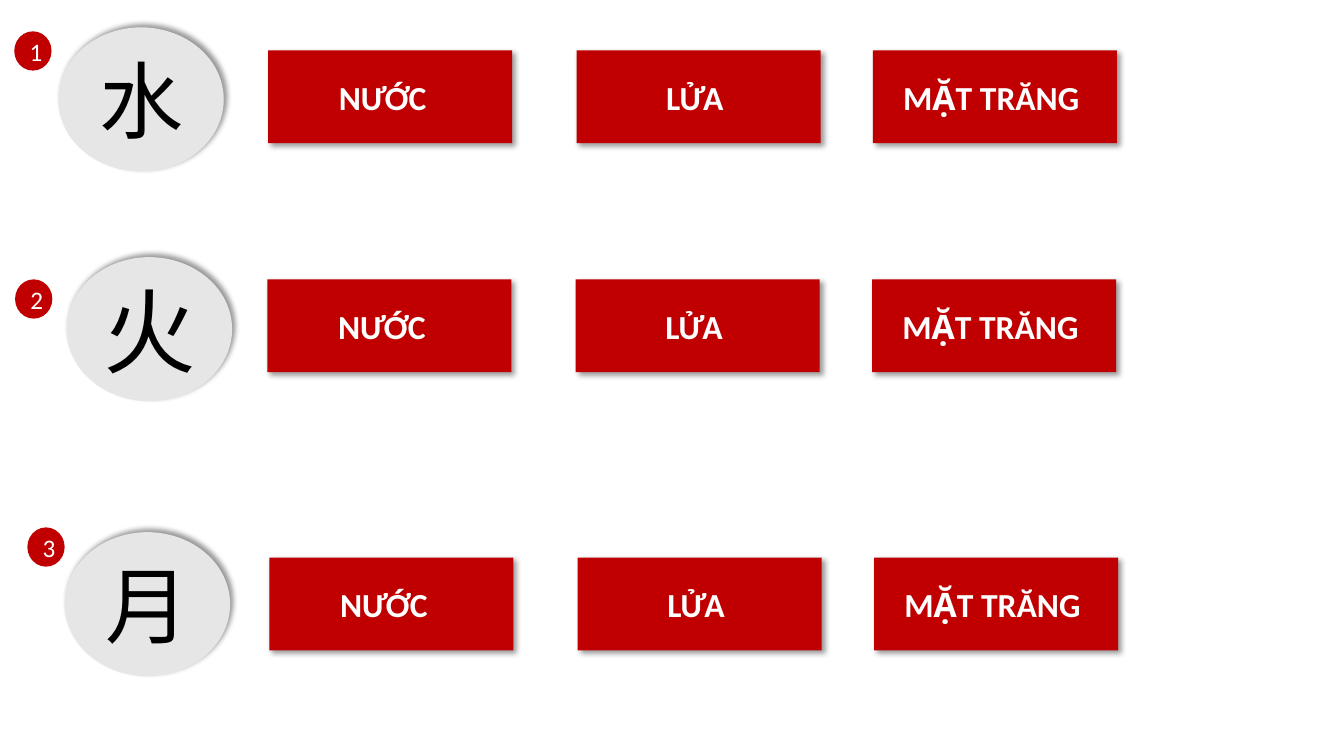
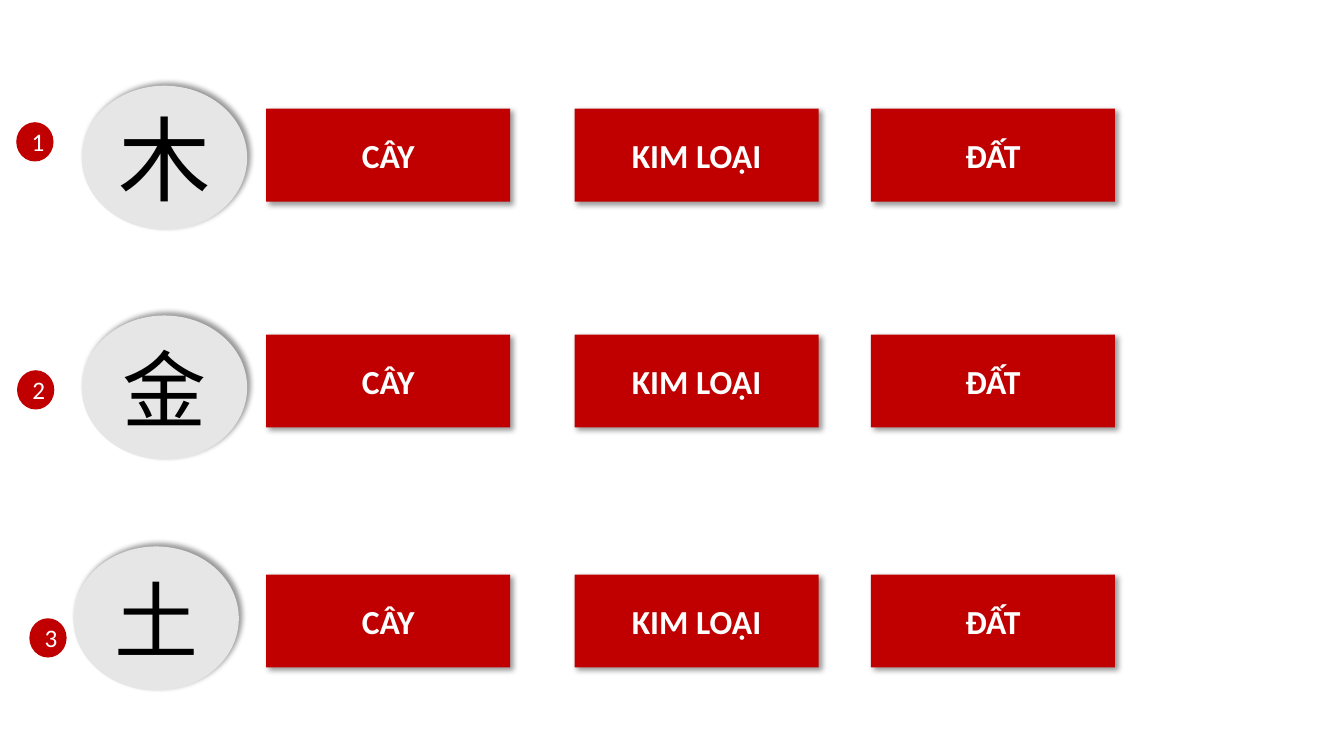
import pptx
import pptx.util
import pptx.dml.color
import pptx.enum.shapes
import pptx.enum.text
import pptx.oxml.ns
import lxml.etree

Cm = pptx.util.Cm
Pt = pptx.util.Pt
Shape = pptx.enum.shapes.MSO_SHAPE
qn = pptx.oxml.ns.qn

RED = pptx.dml.color.RGBColor(0xC0, 0x00, 0x00)
GREY = pptx.dml.color.RGBColor(0xE7, 0xE6, 0xE6)
WHITE = pptx.dml.color.RGBColor(0xFF, 0xFF, 0xFF)
BLACK = pptx.dml.color.RGBColor(0x00, 0x00, 0x00)

# Preset shape, width and height in cm, fill, shadow angle, font
BADGE = dict(kind=Shape.OVAL, size=(0.94, 0.99), fill=RED, angle=None,
             font=dict(name="Calibri", size=Pt(18)), ink=WHITE)
DISC = dict(kind=Shape.FLOWCHART_CONNECTOR, size=(4.17, 3.63), fill=GREY, angle=315,
            font=dict(name="Arial", size=Pt(60)), ink=BLACK)
CARD = dict(kind=Shape.RECTANGLE, size=(6.15, 2.34), fill=RED, angle=45,
            font=dict(name="Calibri", size=Pt(24), bold=True), ink=WHITE)

CARD_X = (6.76, 14.53, 22.0)
BADGE_X = (0.36, 0.38, 0.69)
BADGE_STEP = 6.25


def cast(shape, angle):
    """Give the shape a soft black shadow that falls at the angle."""
    effects = shape._element.spPr.find(qn("a:effectLst"))
    outer = lxml.etree.SubElement(
        effects, qn("a:outerShdw"), blurRad=str(Pt(4)), dist=str(Pt(3)),
        dir=str(angle * 60000), algn="ctr", rotWithShape="0")
    black = lxml.etree.SubElement(outer, qn("a:srgbClr"), val="000000")
    lxml.etree.SubElement(black, qn("a:alpha"), val="40000")


def place(slide, style, left, top, text):
    """Add a shape in the given style with centred text."""
    width, height = style["size"]
    shape = slide.shapes.add_shape(
        style["kind"], Cm(left), Cm(top), Cm(width), Cm(height))
    shape.fill.solid()
    shape.fill.fore_color.rgb = style["fill"]
    shape.line.fill.background()
    shape.shadow.inherit = False
    if style["angle"] is not None:
        cast(shape, style["angle"])
    frame = shape.text_frame
    frame.vertical_anchor = pptx.enum.text.MSO_ANCHOR.MIDDLE
    line = frame.paragraphs[0]
    line.alignment = pptx.enum.text.PP_ALIGN.CENTER
    run = line.add_run()
    run.text = text
    for key, value in style["font"].items():
        setattr(run.font, key, value)
    run.font.color.rgb = style["ink"]
    return shape


# Each label comes with the extra right inset of its card; each row holds
# the sign, its size, the disc's left and top, the cards' shift and top
QUIZ = (
    dict(labels=(("N\u01af\u01a0\u0301C", 0.38), ("L\u01af\u0309A", 0.19),
                 ("M\u0102\u0323T TR\u0102NG", 0.19)),
         badge=(0, 0.79),
         rows=(("水", 60, 1.47, 0.69, 0, 1.27),
               ("火", 66, 1.68, 6.48, -0.02, 7.04),
               ("月", 60, 1.63, 13.41, 0.03, 14.05))),
    dict(labels=(("C\u00c2Y", 0), ("KIM LOA\u0323I", 0), ("\u0110\u00c2\u0301T", 0)),
         badge=(0.05, 3.08),
         rows=(("木", 66, 2.06, 2.16, -0.05, 2.74),
               ("金", 60, 2.06, 7.95, -0.05, 8.43),
               ("土", 60, 1.85, 13.77, -0.05, 14.48))),
)

deck = pptx.Presentation()
deck.slide_width = Cm(33.87)
deck.slide_height = Cm(19.05)
blank = deck.slide_layouts[6]

for quiz in QUIZ:
    slide = deck.slides.add_slide(blank)
    shift, start = quiz["badge"]
    for index, (sign, size, left, top, nudge, level) in enumerate(quiz["rows"]):
        place(slide, BADGE, BADGE_X[index] + shift, start + index * BADGE_STEP,
              str(index + 1))
        disc = place(slide, DISC, left, top, sign)
        disc.text_frame.paragraphs[0].runs[0].font.size = Pt(size)
        for edge, (label, inset) in zip(CARD_X, quiz["labels"]):
            card = place(slide, CARD, edge + nudge, level, label)
            card.text_frame.margin_right = Cm(0.25 + inset)

deck.save("out.pptx")
